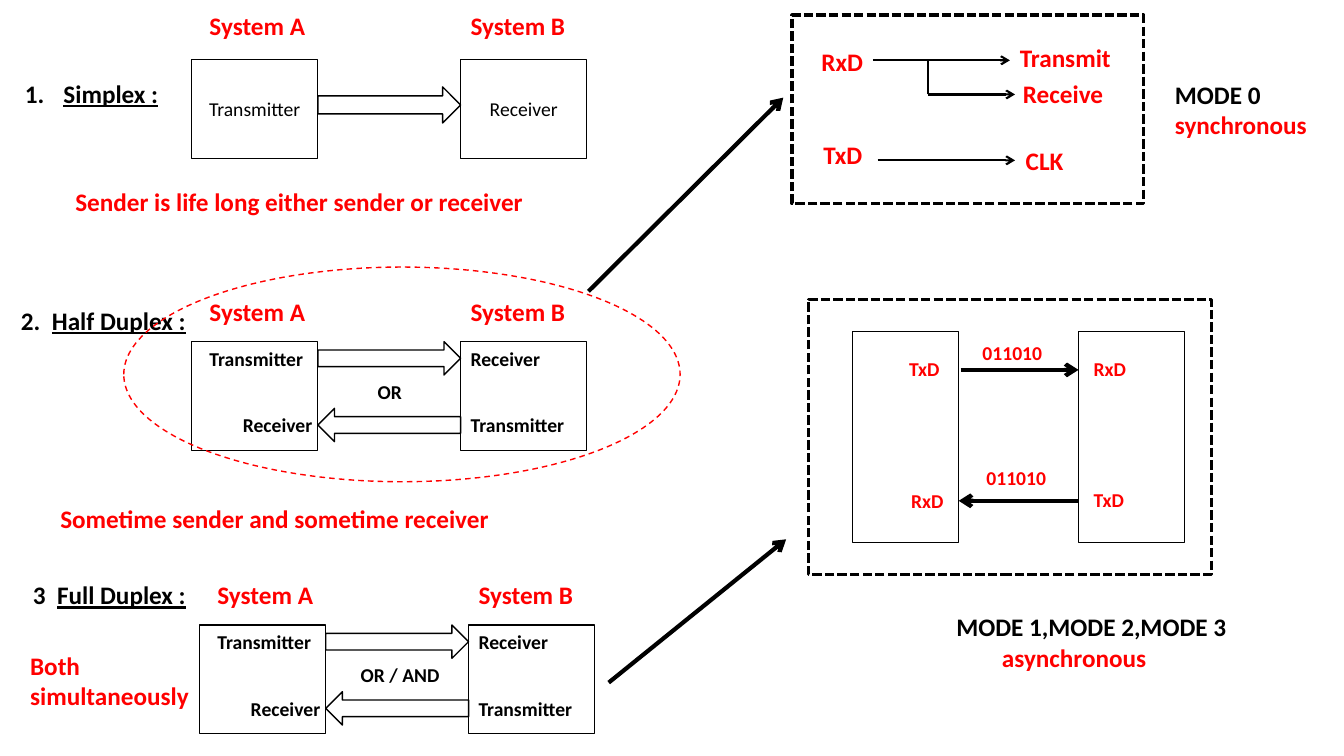
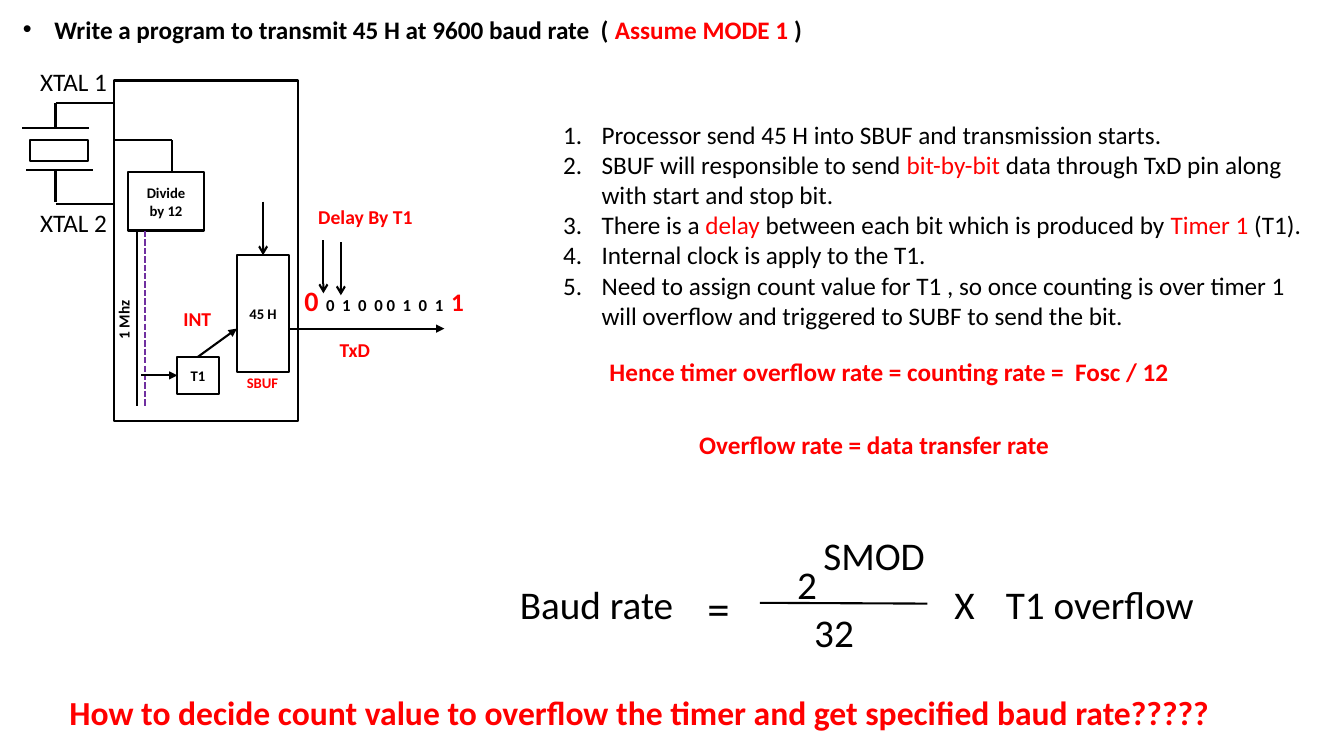
import pptx
import pptx.util
import pptx.dml.color
import pptx.enum.dml
import pptx.enum.shapes
import pptx.enum.text
import pptx.oxml.ns
import lxml.etree

Cm, Pt = pptx.util.Cm, pptx.util.Pt
Kind = pptx.enum.shapes.MSO_SHAPE
Dash = pptx.enum.dml.MSO_LINE
Align = pptx.enum.text.PP_ALIGN
Anchor = pptx.enum.text.MSO_ANCHOR
Fit = pptx.enum.text.MSO_AUTO_SIZE
RGB = pptx.dml.color.RGBColor
qn = pptx.oxml.ns.qn


class Theme:
    font = "Calibri"
    black = RGB(0, 0, 0)
    red = RGB(255, 0, 0)
    purple = RGB(112, 48, 160)
    tiny, unit, bit, small, body, start, head, math, equal = (
        10.5, 11, 12, 14, 18, 20, 24, 28, 32)
    thin, wire, frame, bold = 1, 1.5, 2.25, 3


def put(slide, kind, x, y, w, h, text="", size=Theme.body, color=Theme.black,
        bold=True, alt=Theme.red, wrap=True, mark=None, hang=0.97,
        line=Theme.thin, ink=Theme.black, dash=None):
    """Add a shape, or a text box if kind is None; "|" switches run style."""
    area = Cm(x), Cm(y), Cm(w), Cm(h)
    if kind is None:
        shape = slide.shapes.add_textbox(*area)
    else:
        shape = slide.shapes.add_shape(kind, *area)
        shape.shadow.inherit = False
        shape.fill.background()
        shape.line.color.rgb = ink
        shape.line.width = Pt(line)
        if dash:
            shape.line.dash_style = dash
    if not text:
        return shape
    frame = shape.text_frame
    frame.text = text
    frame.word_wrap = wrap
    if kind is None:
        frame.auto_size = Fit.SHAPE_TO_FIT_TEXT
    else:
        frame.vertical_anchor = Anchor.MIDDLE
    for para in frame.paragraphs:
        para.alignment = Align.LEFT if kind is None else Align.CENTER
        parts = para.text.split("|")
        para.clear()
        for i, part in enumerate(parts):
            if not part:
                continue
            run = para.add_run()
            run.text = part
            run.font.name, run.font.size = Theme.font, Pt(size)
            run.font.bold = bold
            run.font.color.rgb = color
            if i % 2 and alt == "under":
                run.font.underline = True
            elif i % 2:
                run.font.color.rgb = alt
        if mark:
            props = para._p.get_or_add_pPr()
            props.set("marL", str(Cm(hang)))
            props.set("indent", str(-Cm(hang)))
            if mark == "1.":
                lxml.etree.SubElement(props, qn("a:buFont"), typeface="+mj-lt")
                lxml.etree.SubElement(props, qn("a:buAutoNum"), type="arabicPeriod")
            else:
                lxml.etree.SubElement(props, qn("a:buFont"), typeface="Arial")
                lxml.etree.SubElement(props, qn("a:buChar"), char=mark)
    return shape


def join(slide, x1, y1, x2, y2, tip=None, width=Theme.wire, ink=Theme.black,
         dash=None):
    """Add a straight line, with an arrowhead at its end if tip is given."""
    link = slide.shapes.add_connector(
        pptx.enum.shapes.MSO_CONNECTOR.STRAIGHT, Cm(x1), Cm(y1), Cm(x2), Cm(y2))
    link.line.color.rgb = ink
    link.line.width = Pt(width)
    if dash:
        link.line.dash_style = dash
    if tip:
        lxml.etree.SubElement(link.line._get_or_add_ln(), qn("a:tailEnd"), type=tip)
    lxml.etree.SubElement(link._element.spPr, qn("a:effectLst"))
    return link


deck = pptx.Presentation()
deck.slide_width, deck.slide_height = Cm(33.87), Cm(19.05)
modes, baud = [deck.slides.add_slide(deck.slide_layouts[6]) for _ in range(2)]

# Slide 1: simplex, half duplex and full duplex systems
wide, gap = 3.18, 3.6
step = wide + gap
for x, y, tall, rise, word, shift in (
        (4.83, 1.5, 2.49, 1.37, None, 0),
        (4.83, 8.61, 2.74, 1.27, "OR", 4.44),
        (5.03, 15.75, 2.74, 1.27, "OR / AND", 3.81)):
    names = ("", "") if word else ("Transmitter", "Receiver")
    for i, name in enumerate(names):
        put(modes, Kind.RECTANGLE, x + i * step, y, wide, tall, name,
            Theme.small, bold=False)
    put(modes, None, x + 0.2, y - rise, 2.97, 1.02, "System A", color=Theme.red)
    put(modes, None, x + step, y - rise, 2.97, 1.02, "System B", color=Theme.red)
    if not word:
        put(modes, Kind.RIGHT_ARROW, x + wide, y + 0.69, gap, 0.91)
        continue
    low = y + 1.68
    put(modes, Kind.RIGHT_ARROW, x + wide, y, gap, 0.84)
    put(modes, Kind.LEFT_ARROW, x + wide, low, gap, 0.84)
    for left, top, role in (
            (0.2, y, "Transmitter"), (1.04, low, "Receiver"),
            (step, y, "Receiver"), (step, low, "Transmitter"),
            (shift, y + 0.84, word)):
        put(modes, None, x + left, top, 3.81, 0.86, role, Theme.small)

# Headings and remarks
put(modes, None, 0.38, 1.85, 3.89, 1.02, "|Simplex :", alt="under",
    wrap=False, mark="1.")
put(modes, None, 0.28, 7.57, 4.7, 1.02, "2.  |Half Duplex :", alt="under", wrap=False)
put(modes, None, 0.58, 14.48, 4.39, 1.02, "3  |Full Duplex :", alt="under", wrap=False)
for x, y, w, h, note in (
        (1.65, 4.57, 14.33, 1.02, "Sender is life long either sender or receiver"),
        (1.27, 12.55, 14.33, 1.02, "Sometime sender and sometime receiver"),
        (0.51, 16.26, 5.16, 1.8, "Both simultaneously")):
    put(modes, None, x, y, w, h, note, color=Theme.red)
put(modes, None, 29.36, 1.88, 3.99, 1.8, "MODE 0\n|synchronous")
label = put(modes, None, 23.85, 15.29, 8.18, 1.8, "MODE 1,MODE 2,MODE 3\n|asynchronous")
label.text_frame.paragraphs[1]._p.get_or_add_pPr().set("marL", str(Cm(1.15)))

# Links from the systems to the panels
put(modes, Kind.OVAL, 3.12, 6.73, 14.02, 5.41, ink=Theme.red, dash=Dash.DASH)
join(modes, 14.83, 7.34, 19.74, 2.46, "arrow", Theme.bold)
join(modes, 15.34, 17.2, 19.81, 13.59, "arrow", Theme.bold)

# Synchronous panel
for x, y, w, name in (
        (20.45, 1.04, 1.57, "RxD"), (25.45, 0.94, 2.82, "Transmit"),
        (25.53, 1.85, 2.54, "Receive"), (20.5, 3.38, 1.5, "TxD"),
        (25.6, 3.53, 1.47, "CLK")):
    put(modes, None, x, y, w, 1.02, name, color=Theme.red, wrap=False)
for x1, y1, x2, y2, tip in (
        (22, 1.52, 25.45, 1.52, "arrow"), (23.39, 2.38, 25.58, 2.38, "arrow"),
        (23.39, 2.38, 23.39, 1.52, None), (22.12, 4.04, 25.58, 4.04, "arrow")):
    join(modes, x1, y1, x2, y2, tip)

# Asynchronous panel
for x in (21.49, 27.18):
    put(modes, Kind.RECTANGLE, x, 8.36, 2.67, 5.31)
join(modes, 24.21, 9.32, 27.18, 9.32, "arrow", Theme.bold)
join(modes, 27.18, 12.62, 24.16, 12.62, "arrow", Theme.bold)
for x, y, name in (
        (24.51, 8.46, "011010"), (24.61, 11.61, "011010"),
        (22.66, 8.86, "TxD"), (27.31, 8.86, "RxD"),
        (22.71, 12.19, "RxD"), (27.31, 12.17, "TxD")):
    put(modes, None, x, y, 2.69, 0.86, name, Theme.small, Theme.red)
for area in ((19.96, 0.38, 8.86, 4.75), (20.37, 7.54, 10.16, 6.93)):
    put(modes, Kind.RECTANGLE, *area, line=Theme.frame, dash=Dash.SQUARE_DOT)

# Slide 2: task
put(baud, None, 0.33, 0.23, 20.27, 1.02,
    "Write a program to transmit 45 H at 9600 baud rate  ( |Assume MODE 1 |)",
    wrap=False, mark="•", hang=0.79)

# Chip with its blocks
chip, quartz, split, timer, store = [
    put(baud, Kind.RECTANGLE, *area, name, Theme.tiny, line=Theme.wire)
    for *area, name in (
        (2.87, 2.03, 4.65, 8.59, ""), (0.76, 3.53, 1.47, 0.53, ""),
        (3.23, 4.34, 1.91, 1.47, "Divide by 12"), (4.47, 8.99, 1.04, 0.94, "T1"),
        (5.97, 6.43, 1.32, 2.95, "45 H"))]

# Crystal and clock wiring
for ends in (
        (0.66, 4.29, 2.34, 4.29), (0.56, 3.23, 2.24, 3.23),
        (1.4, 4.29, 1.4, 5.08), (1.4, 5.13, 2.87, 5.13),
        (1.4, 2.59, 2.87, 2.59), (1.4, 2.59, 1.4, 3.23),
        (2.87, 3.53, 4.34, 3.53), (4.34, 3.53, 4.34, 4.34),
        (3.45, 5.79, 3.45, 10.24)):
    join(baud, *ends)
join(baud, 3.66, 5.82, 3.66, 10.26, ink=Theme.purple, dash=Dash.SQUARE_DOT)

# Signal arrows
join(baud, 7.26, 8.28, 11.2, 8.28, "triangle")
join(baud, 3.56, 9.46, 4.47, 9.46, "triangle").end_connect(timer, 1)
join(baud, 4.99, 8.99, 5.97, 8.28, "triangle").begin_connect(timer, 0)
join(baud, 6.63, 5.08, 6.63, 6.43, "arrow").end_connect(store, 0)
for x, y in ((8.15, 6.05), (8.59, 6.1)):
    join(baud, x, y, x, y + 1.34, "arrow")

# Diagram labels
for y, name in ((1.55, "XTAL 1"), (5.11, "XTAL 2")):
    put(baud, None, 0.76, y, 2.44, 1.02, name, bold=False)
for x, y, w, name, size in (
        (5.97, 9.3, 1.5, "SBUF", Theme.tiny), (8.31, 8.38, 2.69, "TxD", Theme.small),
        (4.37, 7.62, 1.45, "INT", Theme.small),
        (7.77, 5.03, 4.14, "Delay By T1", Theme.small)):
    put(baud, None, x, y, w, 0.86, name, size, Theme.red)
clock = put(baud, None, 2.34, 7.65, 1.57, 0.74, "1 Mhz", Theme.unit, wrap=False)
clock.rotation = 270
bits = put(baud, None, 7.26, 6.88, 5.36, 1.27, " 0| |0  1  0  0 0  1  0  1  |1",
           color=Theme.red, alt=Theme.black)
sizes = Theme.start, Theme.head, Theme.bit, Theme.body
inks = Theme.red, Theme.black, Theme.black, Theme.red
for run, size, ink in zip(bits.text_frame.paragraphs[0].runs, sizes, inks):
    run.font.size, run.font.color.rgb = Pt(size), ink

# Numbered steps and conclusions
put(baud, None, 13.94, 2.87, 19.15, 6.4, "\n".join((
    "Processor send 45 H into SBUF and transmission starts.",
    "SBUF will responsible to send |bit-by-bit| data through TxD pin along "
    "with start and stop bit.",
    "There is a |delay| between each bit which is produced by |Timer 1 |(T1).",
    "Internal clock is apply to the T1.",
    "Need to assign count value for T1 , so once counting is over timer 1 "
    "will overflow and triggered to SUBF to send the bit.")),
    bold=False, mark="1.")
put(baud, None, 15.11, 8.86, 18.49, 1.02,
    "Hence timer overflow rate = counting rate =  Fosc / 12", color=Theme.red)
put(baud, None, 17.37, 10.69, 12, 1.02, "Overflow rate = data transfer rate",
    color=Theme.red)

# Baud rate formula
for x, y, w, term, size in (
        (12.85, 14.5, 4.52, "Baud rate", Theme.math),
        (17.58, 14.5, 1.3, "=", Theme.equal),
        (19.84, 14, 1.3, "2", Theme.math), (20.5, 13.26, 3.3, "SMOD", Theme.math),
        (20.27, 15.21, 1.65, "32", Theme.math), (23.8, 14.5, 1.3, "X", Theme.math),
        (25.1, 14.5, 5.31, "T1 overflow", Theme.math)):
    put(baud, None, x, y, w, 1.22, term, size, bold=False)
join(baud, 19.15, 15.19, 23.37, 15.21)

# Closing question
put(baud, None, 1.5, 17.32, 31.01, 1.27,
    "How to decide count value to overflow the timer and get specified baud rate?????",
    Theme.head, Theme.red)

deck.save("out.pptx")
